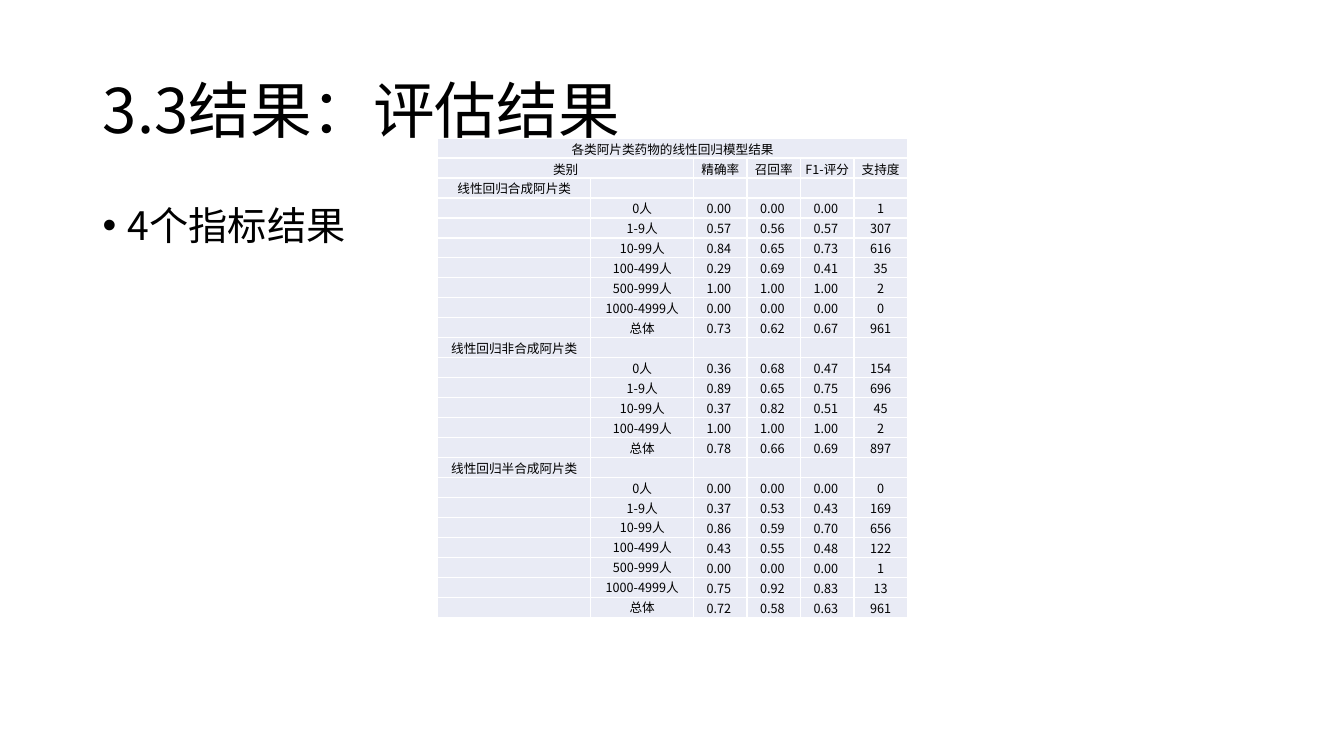
import pptx
import pptx.util
import pptx.dml.color
import pptx.enum.text
import pptx.oxml
import pptx.oxml.ns
import lxml.etree

Inches = pptx.util.Inches
Pt = pptx.util.Pt
ALIGN = pptx.enum.text.PP_ALIGN
ANCHOR = pptx.enum.text.MSO_ANCHOR
BLACK = pptx.dml.color.RGBColor(0x00, 0x00, 0x00)
WHITE = pptx.dml.color.RGBColor(0xFF, 0xFF, 0xFF)
PALE_BLUE = pptx.dml.color.RGBColor(0xE9, 0xEB, 0xF5)
FONT = "Noto Sans CJK SC"
qn = pptx.oxml.ns.qn


def format_text(para, size):
    for span in para.runs:
        span.font.size = Pt(size)
        span.font.name = FONT
        span.font.color.rgb = BLACK
        east_asian = lxml.etree.Element(qn("a:ea"), typeface=FONT)
        span.font._element.find(qn("a:latin")).addnext(east_asian)


def add_border(cell, edge, position):
    line = pptx.oxml.parse_xml(
        f'<a:{edge} {pptx.oxml.ns.nsdecls("a")} w="12700"><a:solidFill>'
        f'<a:srgbClr val="{WHITE}"/></a:solidFill></a:{edge}>')
    cell._tc.get_or_add_tcPr().insert(position, line)


deck = pptx.Presentation()
deck.slide_width = Inches(13.33)
deck.slide_height = Inches(7.5)
page = deck.slides.add_slide(deck.slide_layouts[5])

title = page.shapes.title
title.left, title.top = Inches(0.92), Inches(0.4)
title.width, title.height = Inches(11.5), Inches(1.45)
title.text_frame.text = "3.3结果：评估结果"
title.text_frame.auto_size = pptx.enum.text.MSO_AUTO_SIZE.NONE
title.text_frame.vertical_anchor = ANCHOR.MIDDLE
para = title.text_frame.paragraphs[0]
para.alignment = ALIGN.LEFT
para.line_spacing = 0.9
format_text(para, 44)

body = page.shapes.add_textbox(Inches(0.92), Inches(2), Inches(11.5), Inches(4.76))
body.text_frame.word_wrap = True
body.text_frame.text = "4个指标结果"
para = body.text_frame.paragraphs[0]
para.line_spacing = 0.9
para.space_before = Pt(10)
format_text(para, 28)
bullet_format = para._p.get_or_add_pPr()
bullet_format.set("marL", str(Inches(0.25)))
bullet_format.set("indent", str(-Inches(0.25)))
lxml.etree.SubElement(bullet_format, qn("a:buFont"), typeface="Arial")
lxml.etree.SubElement(bullet_format, qn("a:buChar"), char="•")

ranges = ["0人", "1-9人", "10-99人", "100-499人", "500-999人", "1000-4999人"]
groups = [
    ("线性回归合成阿片类", [
        (0.00, 0.00, 0.00, 1), (0.57, 0.56, 0.57, 307), (0.84, 0.65, 0.73, 616),
        (0.29, 0.69, 0.41, 35), (1.00, 1.00, 1.00, 2), (0.00, 0.00, 0.00, 0),
        (0.73, 0.62, 0.67, 961)]),
    ("线性回归非合成阿片类", [
        (0.36, 0.68, 0.47, 154), (0.89, 0.65, 0.75, 696), (0.37, 0.82, 0.51, 45),
        (1.00, 1.00, 1.00, 2), (0.78, 0.66, 0.69, 897)]),
    ("线性回归半合成阿片类", [
        (0.00, 0.00, 0.00, 0), (0.37, 0.53, 0.43, 169), (0.86, 0.59, 0.70, 656),
        (0.43, 0.55, 0.48, 122), (0.00, 0.00, 0.00, 1), (0.75, 0.92, 0.83, 13),
        (0.72, 0.58, 0.63, 961)]),
]
rows = [
    ["各类阿片类药物的线性回归模型结果"] + [""] * 5,
    ["类别", "", "精确率", "召回率", "F1-评分", "支持度"],
]
for group, results in groups:
    rows.append([group] + [""] * 5)
    labels = ranges[:len(results) - 1] + ["总体"]
    for label, (*scores, support) in zip(labels, results):
        rows.append(["", label] + [f"{score:.2f} " for score in scores] + [str(support)])

column_widths = [1.52, 1.02] + [0.53] * 4
table = page.shapes.add_table(len(rows), len(column_widths), Inches(4.34), Inches(1.37),
                              Inches(sum(column_widths)), Inches(4.76)).table
table.first_row = False
table.horz_banding = False
for column, width in zip(table.columns, column_widths):
    column.width = Inches(width)

for row_index, row in enumerate(rows):
    for column_index, text in enumerate(row):
        cell = table.cell(row_index, column_index)
        cell.text_frame.text = text
        cell.margin_left = cell.margin_right = cell.margin_top = Inches(0.01)
        cell.margin_bottom = 0
        is_label = column_index == 1 and row_index > 1
        cell.vertical_anchor = ANCHOR.TOP if is_label else ANCHOR.MIDDLE
        cell.fill.solid()
        cell.fill.fore_color.rgb = PALE_BLUE
        for position, edge in enumerate(["lnL", "lnR", "lnT", "lnB"]):
            add_border(cell, edge, position)
        para = cell.text_frame.paragraphs[0]
        para.alignment = ALIGN.CENTER
        format_text(para, 9)
        if not text:
            lxml.etree.SubElement(para._p, qn("a:endParaRPr"), sz="900")

table.cell(0, 0).merge(table.cell(0, 5))
table.cell(1, 0).merge(table.cell(1, 1))

deck.save("out.pptx")
